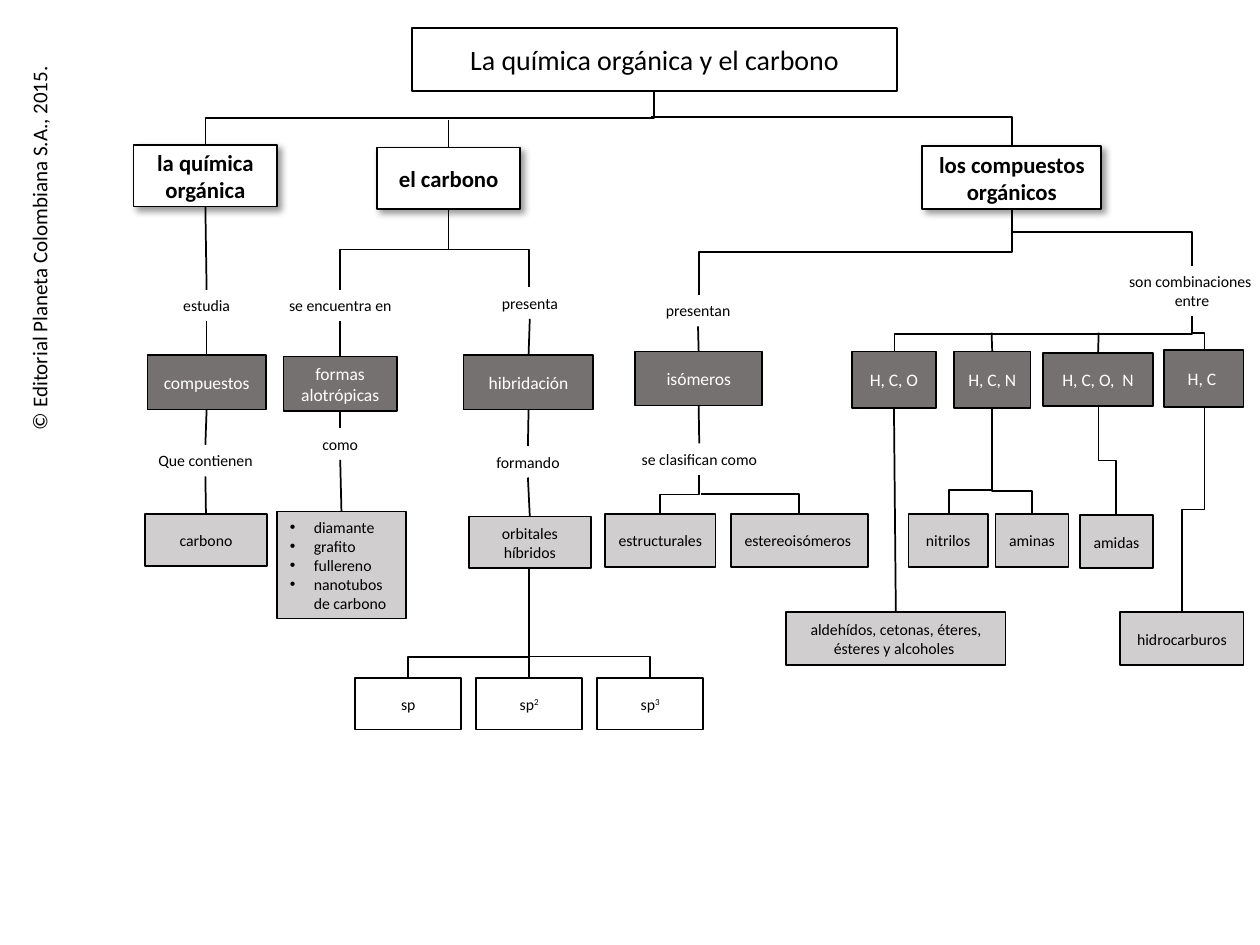
from dataclasses import dataclass
from itertools import pairwise
from typing import Any, NamedTuple

from lxml.etree import SubElement
from pptx import Presentation
from pptx.dml.color import RGBColor
from pptx.enum.shapes import MSO_CONNECTOR, MSO_SHAPE
from pptx.enum.text import MSO_ANCHOR, MSO_AUTO_SIZE, PP_ALIGN
from pptx.oxml.ns import qn
from pptx.util import Inches, Pt


@dataclass(frozen=True)
class Theme:
    """Colours, font and type sizes of the concept map."""

    ink: str = "000000"
    paper: str = "FFFFFF"
    dark: str = "767171"
    light: str = "D0CECE"
    font: str = "Calibri"
    title: int = 16
    topic: int = 13
    credit: int = 12
    concept: int = 10
    detail: int = 9
    line: int = 1


class Style(NamedTuple):
    """Look of one kind of node."""

    fill: str | None
    size: int
    color: str = "000000"
    bold: bool = False
    shadow: bool = False


class Node(NamedTuple):
    """A box or linking phrase on the map."""

    text: str
    left: float
    top: float
    width: float
    height: float
    style: Style
    power: str = ""


class Elbow(NamedTuple):
    """A bent line; without a bend it turns one corner."""

    x1: float
    y1: float
    x2: float
    y2: float
    bend: float | None = 0.5


THEME = Theme()
TITLE = Style(THEME.paper, THEME.title)
TOPIC = Style(THEME.paper, THEME.topic, bold=True, shadow=True)
CONCEPT = Style(THEME.dark, THEME.concept, THEME.paper)
DETAIL = Style(THEME.light, THEME.detail)
ORBITAL = Style(THEME.paper, THEME.detail)
LABEL = Style(None, THEME.detail)
CREDIT = Style(None, THEME.credit)

HEADING = Node("La química orgánica y el carbono", 3.27, 0.22, 3.85, 0.5, TITLE)
FORMS = Node("diamante\ngrafito\nfullereno\nnanotubos de carbono", 2.2, 4.06, 1.02, 0.85, DETAIL)
SOURCE = Node("© Editorial Planeta Colombiana S.A., 2015.", -1.25, 1.82, 3.12, 0.3, CREDIT)

NODES = [
    Node("la química orgánica", 1.06, 1.15, 1.14, 0.49, TOPIC),
    Node("el carbono", 2.99, 1.17, 1.14, 0.49, TOPIC),
    Node("los compuestos orgánicos", 7.32, 1.16, 1.42, 0.5, TOPIC),
    Node("estudia", 0.88, 2.3, 1.52, 0.25, LABEL),
    Node("se encuentra en", 2.17, 2.3, 1.06, 0.25, LABEL),
    Node("presenta", 3.61, 2.28, 1.19, 0.25, LABEL),
    Node("presentan", 4.97, 2.34, 1.14, 0.25, LABEL),
    Node("son combinaciones \nentre", 8.7, 2.11, 1.52, 0.4, LABEL),
    Node("compuestos", 1.17, 2.82, 0.94, 0.43, CONCEPT),
    Node("formas alotrópicas", 2.25, 2.83, 0.9, 0.43, CONCEPT),
    Node("hibridación", 3.68, 2.82, 1.03, 0.43, CONCEPT),
    Node("isómeros", 5.04, 2.79, 1.01, 0.43, CONCEPT),
    Node("H, C, O", 6.76, 2.79, 0.67, 0.45, CONCEPT),
    Node("H, C, N", 7.57, 2.79, 0.61, 0.45, CONCEPT),
    Node("H, C, O,  N", 8.28, 2.8, 0.87, 0.42, CONCEPT),
    Node("H, C ", 9.24, 2.78, 0.63, 0.45, CONCEPT),
    Node("Que contienen", 0.87, 3.53, 1.52, 0.25, LABEL),
    Node("como", 2.2, 3.4, 1, 0.25, LABEL),
    Node("formando", 3.43, 3.54, 1.52, 0.25, LABEL),
    Node("se clasifican como", 4.98, 3.52, 1.14, 0.25, LABEL),
    Node("carbono", 1.15, 4.08, 0.97, 0.41, DETAIL),
    Node("orbitales híbridos", 3.72, 4.1, 0.97, 0.41, DETAIL),
    Node("estructurales", 4.8, 4.08, 0.88, 0.42, DETAIL),
    Node("estereoisómeros ", 5.8, 4.08, 1.09, 0.42, DETAIL),
    Node("nitrilos", 7.21, 4.08, 0.63, 0.42, DETAIL),
    Node("aminas", 7.9, 4.08, 0.58, 0.42, DETAIL),
    Node("amidas", 8.57, 4.09, 0.58, 0.42, DETAIL),
    Node("aldehídos, cetonas, éteres, ésteres y alcoholes ", 6.24, 4.86, 1.74, 0.42, DETAIL),
    Node("hidrocarburos", 8.89, 4.86, 0.98, 0.42, DETAIL),
    *(Node("sp", 2.82 + 0.96 * i, 5.38, 0.84, 0.41, ORBITAL, power) for i, power in enumerate(("", "2", "3"))),
]

CHAINS = [
    ("la química orgánica", "estudia", "compuestos", "Que contienen", "carbono"),
    ("se encuentra en", "formas alotrópicas", "como", FORMS.text),
    ("presenta", "hibridación", "formando", "orbitales híbridos"),
    ("presentan", "isómeros", "se clasifican como"),
    ("H, C, O", "aldehídos, cetonas, éteres, ésteres y alcoholes "),
]
DROPS = [("el carbono", 3.56, 0.95), ("H, C, N", 7.87, 2.64), ("H, C, O,  N", 8.72, 2.64), ("sp2", 4.2, 5.21)]
ELBOWS = [
    Elbow(5.19, 0.72, 1.63, 1.15),
    Elbow(5.17, 0.93, 8.03, 1.16, None),
    Elbow(3.56, 1.66, 2.7, 2.3),
    Elbow(3.56, 1.98, 4.2, 2.28, None),
    Elbow(8.03, 1.66, 5.55, 2.34),
    Elbow(8.03, 1.84, 9.46, 2.11, None),
    Elbow(9.46, 2.51, 7.1, 2.79),
    Elbow(9.46, 2.51, 9.56, 2.78),
    Elbow(4.2, 4.5, 3.24, 5.38, 0.81),
    Elbow(4.2, 5.21, 5.16, 5.38, None),
    Elbow(7.87, 3.24, 8.19, 4.08, 0.78),
    Elbow(7.87, 3.89, 7.53, 4.08, None),
    Elbow(8.72, 3.22, 8.86, 4.09),
    Elbow(9.56, 3.23, 9.38, 4.86),
    Elbow(5.55, 3.77, 5.24, 4.08),
    Elbow(5.56, 3.92, 6.34, 4.08, None),
]


def assign(target: Any, values: dict[str, Any]) -> None:
    """Set each named attribute on the target."""
    for name, value in values.items():
        setattr(target, name, value)


def add_shadow(box: Any) -> None:
    """Give a topic box its soft lower-right shadow."""
    effects = box._element.spPr.find(qn("a:effectLst"))
    shadow = SubElement(effects, qn("a:outerShdw"), blurRad=str(Pt(4)), dist=str(Pt(3)), dir="2700000")
    color = SubElement(shadow, qn("a:srgbClr"), val=THEME.ink)
    SubElement(color, qn("a:alpha"), val="40000")


def add_span(para: Any, text: str, style: Style) -> Any:
    """Add one formatted run."""
    span = para.add_run()
    span.text = text
    assign(span.font, {"name": THEME.font, "size": Pt(style.size), "bold": style.bold})
    span.font.color.rgb = RGBColor.from_string(style.color)
    return span


def dress(box: Any, node: Node, bulleted: bool = False) -> Any:
    """Place a shape, colour it and write its text."""
    style = node.style
    for name in ("left", "top", "width", "height"):
        setattr(box, name, Inches(getattr(node, name)))
    frame = box.text_frame
    frame_format = {"word_wrap": True, "auto_size": MSO_AUTO_SIZE.SHAPE_TO_FIT_TEXT}
    if style.fill:
        box.fill.solid()
        box.fill.fore_color.rgb = RGBColor.from_string(style.fill)
        box.line.color.rgb = RGBColor.from_string(THEME.ink)
        box.line.width = Pt(THEME.line)
        box.shadow.inherit = False
        frame_format |= {"auto_size": MSO_AUTO_SIZE.NONE, "vertical_anchor": MSO_ANCHOR.MIDDLE}
    assign(frame, frame_format)
    if style.shadow:
        add_shadow(box)
    for index, line in enumerate(node.text.split("\n")):
        para = frame.add_paragraph() if index else frame.paragraphs[0]
        assign(para, {"alignment": PP_ALIGN.LEFT if bulleted else PP_ALIGN.CENTER, "space_before": Pt(0)})
        if bulleted:
            properties = para._p.get_or_add_pPr()
            properties.set("marL", str(Inches(0.19)))
            properties.set("indent", str(Inches(-0.19)))
            SubElement(properties, qn("a:buFont"), typeface="Arial")
            SubElement(properties, qn("a:buChar"), char="•")
        add_span(para, line, style)
    if node.power:
        add_span(para, node.power, style)._r.get_or_add_rPr().set("baseline", "30000")
    return box


def add_node(page: Any, node: Node) -> Any:
    """Draw a filled box, or a text box for a linking phrase."""
    area = [Inches(value) for value in node[1:5]]
    box = page.shapes.add_shape(MSO_SHAPE.RECTANGLE, *area) if node.style.fill else page.shapes.add_textbox(*area)
    return dress(box, node)


def add_line(page: Any, kind: Any, *ends: float) -> Any:
    """Draw a thin black connector without shadow."""
    line = page.shapes.add_connector(kind, *(Inches(end) for end in ends))
    line.line.color.rgb = RGBColor.from_string(THEME.ink)
    line.line.width = Pt(THEME.line)
    SubElement(line._element.spPr, qn("a:effectLst"))
    return line


def add_elbow(page: Any, elbow: Elbow) -> None:
    """Draw a corner, or a turned connector that leaves downwards."""
    x1, y1, x2, y2, bend = elbow
    if bend is None:
        line = add_line(page, MSO_CONNECTOR.ELBOW, x1, y1, x2, y2)
        line._element.spPr.prstGeom.set("prst", "bentConnector2")
        return
    middle_x, middle_y = (x1 + x2) / 2, (y1 + y2) / 2
    rightward = x2 > x1
    reach = (y2 - y1) / 2 * (-1 if rightward else 1)
    spread = abs(x2 - x1) / 2
    ends = (middle_x - reach, middle_y - spread, middle_x + reach, middle_y + spread)
    properties = add_line(page, MSO_CONNECTOR.ELBOW, *ends)._element.spPr
    properties.find(qn("a:xfrm")).set("rot", str((270 if rightward else 90) * 60000))
    guides = properties.prstGeom.get_or_add_avLst()
    SubElement(guides, qn("a:gd"), name="adj1", fmla=f"val {round(bend * 100000)}")


def main() -> None:
    """Build the concept map and save it."""
    deck = Presentation()
    assign(deck, {"slide_width": Inches(10), "slide_height": Inches(7.5)})
    page = deck.slides.add_slide(deck.slide_layouts[1])
    dress(page.shapes.title, HEADING)
    boxes = {FORMS.text: dress(page.placeholders[1], FORMS, bulleted=True)}
    boxes |= {node.text + node.power: add_node(page, node) for node in NODES}
    credit = add_node(page, SOURCE)
    credit.rotation = 270
    credit.text_frame.word_wrap = False
    for chain in CHAINS:
        for upper, lower in pairwise(chain):
            line = add_line(page, MSO_CONNECTOR.STRAIGHT, 0, 0, 1, 1)
            line.begin_connect(boxes[upper], 2)
            line.end_connect(boxes[lower], 0)
    for name, x, y in DROPS:
        add_line(page, MSO_CONNECTOR.STRAIGHT, x, y, x, y + 0.2).end_connect(boxes[name], 0)
    for elbow in ELBOWS:
        add_elbow(page, elbow)
    deck.save("out.pptx")


if __name__ == "__main__":
    main()
